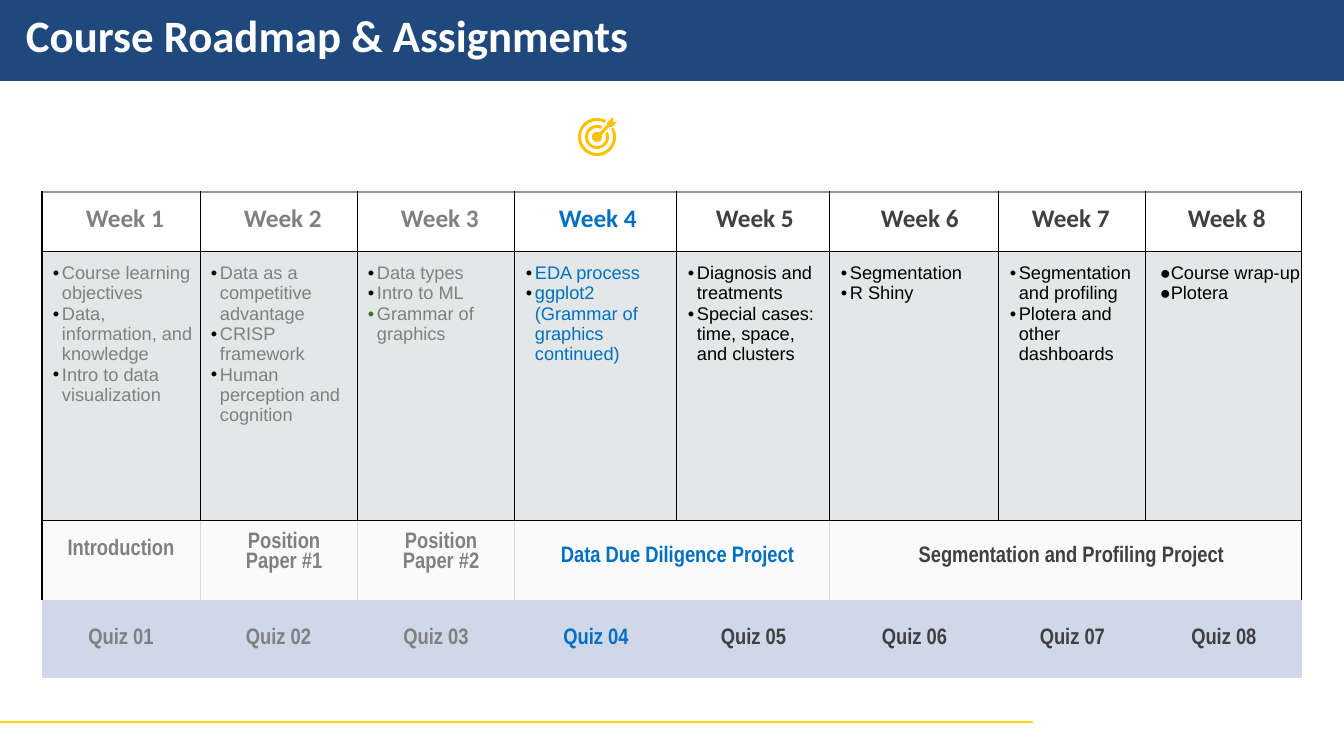
import math

import lxml.etree
import pptx
import pptx.dml.color
import pptx.enum.shapes
import pptx.enum.text
import pptx.oxml.ns
import pptx.util

TITLE = "Course Roadmap & Assignments"
GRAY, BLUE, DARK, BLACK = "808080", "0070C0", "404040", "000000"
PALE, GOLD = "D9D9D9", "FFC000"
STATUS = [GRAY] * 3 + [BLUE] + [DARK] * 4
TOPICS = [
    ["Course learning objectives", "Data, information, and knowledge", "Intro to data visualization"],
    ["Data as a competitive advantage", "CRISP framework", "Human perception and cognition"],
    ["Data types", "Intro to ML", "Grammar of graphics"],
    ["EDA process", "ggplot2 (Grammar of graphics continued)"],
    ["Diagnosis and treatments", "Special cases: time, space, and clusters"],
    ["Segmentation", "R Shiny"],
    ["Segmentation and profiling", "Plotera and other dashboards"],
    ["Course wrap-up", "Plotera"],
]
ASSIGNMENTS = [
    dict(text="Introduction", first=0, last=0, centre=True, middle=True, bottom=22),
    dict(text="Position Paper #1", first=1, last=1, left=46, indent=2, top=12, spacing=0.95),
    dict(text="Position Paper #2", first=2, last=2, left=46, indent=2, top=12, spacing=0.95),
    dict(text="Data Due Diligence Project", first=3, last=4, left=46, top=25),
    dict(text="Segmentation and Profiling Project", first=5, last=7, left=11, centre=True, top=25),
]
WEEK_LEFT = [44, 44, 44, 44, 39, 51, 33, 42]
COL_WIDTHS = [158, 157, 158, 162, 153, 169, 147, 156]
ROW_HEIGHTS = [59, 270, 79, 78]
ROW_FILLS = ["FFFFFF", "E4E7E7", "FAFAFA", "D0D7E8"]
TARGET = (597, 137)
RINGS = [(19, 16, -30, -62), (12, 9, -25, -65)]
ARROW = [(2, -4), (10, -12), (10, -14), (16, -20), (16, -15), (20, -15), (15, -10), (12, -10), (5, -2)]

EMU_PER_PX = 12192000 / 1344


def px(n):
    return pptx.util.Emu(round(n * EMU_PER_PX))


def rgb(value):
    return pptx.dml.color.RGBColor.from_string(value)


def paint(shape, color):
    shape.shadow.inherit = False
    shape.fill.solid()
    shape.fill.fore_color.rgb = rgb(color)
    shape.line.fill.background()


def add_xml(parent, tag, **attrs):
    return lxml.etree.SubElement(parent, pptx.oxml.ns.qn(tag), attrs)


def style_font(p, font, size, color, bold):
    for r in p.runs:
        r.font.name = font
        r.font.size = pptx.util.Pt(size)
        r.font.bold = bold
        r.font.color.rgb = rgb(color)


def indent_paragraph(p, left, indent=0):
    pPr = p._p.get_or_add_pPr()
    pPr.set("marL", str(px(left)))
    pPr.set("indent", str(px(indent)))


def write_cell(cell, text, font, size, color, bold=True, left=0, indent=0, top=0, bottom=0,
               centre=False, middle=False, spacing=1.0):
    cell.margin_left = cell.margin_right = 0
    cell.margin_top, cell.margin_bottom = px(top), px(bottom)
    anchors = pptx.enum.text.MSO_ANCHOR
    cell.vertical_anchor = anchors.MIDDLE if middle else anchors.TOP
    cell.text_frame.text = text
    for p in cell.text_frame.paragraphs:
        indent_paragraph(p, left, indent)
        p.line_spacing = spacing
        p.alignment = pptx.enum.text.PP_ALIGN.CENTER if centre else pptx.enum.text.PP_ALIGN.LEFT
        style_font(p, font, size, color, bold)


def add_bullet(p, char, color):
    pPr = p._p.get_or_add_pPr()
    add_xml(add_xml(pPr, "a:buClr"), "a:srgbClr", val=color)
    add_xml(pPr, "a:buFont", typeface="Arial")
    add_xml(pPr, "a:buChar", char=char)


def cell_borders(row, col):
    if row == 3:
        return dict(L=None, R=None, T=None, B=None)
    outer = (BLACK, 1)
    grid = (BLACK, 0.75)
    inner = (PALE, 0.75) if row == 2 else grid
    right_edge = ASSIGNMENTS[-1]["first"] if row == 2 else len(COL_WIDTHS) - 1
    return dict(
        L=outer if col == 0 else inner,
        R=outer if col >= right_edge else inner,
        T=("8F9A9D", 1.5) if row == 0 else grid,
        B=None if row == 2 else grid,
    )


def set_borders(cell, borders):
    tcPr = cell._tc.get_or_add_tcPr()
    for side, border in borders.items():
        if border is None:
            add_xml(add_xml(tcPr, "a:ln" + side, w="0"), "a:noFill")
            continue
        color, width = border
        ln = add_xml(tcPr, "a:ln" + side, w=str(pptx.util.Pt(width)))
        add_xml(add_xml(ln, "a:solidFill"), "a:srgbClr", val=color)


def arc(radius, start, end):
    steps = 40
    angles = [math.radians(start + (end - start) * i / steps) for i in range(steps + 1)]
    return [(radius * math.cos(a), radius * math.sin(a)) for a in angles]


def add_target(s):
    contours = [arc(outer, start, end + 360) + arc(inner, end + 360, start)
                for outer, inner, start, end in RINGS]
    contours.append(arc(5, -25, 295) + ARROW)
    contours = [[((TARGET[0] + x) * 10, (TARGET[1] + y) * 10) for x, y in c] for c in contours]
    builder = s.shapes.build_freeform(*contours[0][0], scale=EMU_PER_PX / 10)
    builder.add_line_segments(contours[0][1:], close=True)
    for contour in contours[1:]:
        builder.move_to(*contour[0])
        builder.add_line_segments(contour[1:], close=True)
    paint(builder.convert_to_shape(), GOLD)


def add_roadmap(s):
    table = s.shapes.add_table(len(ROW_HEIGHTS), len(COL_WIDTHS), px(42), px(192),
                               px(sum(COL_WIDTHS)), px(sum(ROW_HEIGHTS))).table
    table.first_row = table.horz_banding = False
    for col, width in enumerate(COL_WIDTHS):
        table.columns[col].width = px(width)
    for row, height in enumerate(ROW_HEIGHTS):
        table.rows[row].height = px(height)
        for col in range(len(COL_WIDTHS)):
            cell = table.cell(row, col)
            set_borders(cell, cell_borders(row, col))
            cell.fill.solid()
            cell.fill.fore_color.rgb = rgb(ROW_FILLS[row])

    for col, color in enumerate(STATUS):
        last = col == len(STATUS) - 1
        write_cell(table.cell(0, col), f"Week {col + 1}", "Calibri", 18, color,
                   left=WEEK_LEFT[col], top=12)
        topics = table.cell(1, col)
        write_cell(topics, "\n".join(TOPICS[col]), "Arial", 13, BLACK if color == DARK else color,
                   bold=False, left=20, indent=-6 if last else -9, top=12)
        for p in topics.text_frame.paragraphs:
            green = col == 2 and p.text == TOPICS[2][-1]
            add_bullet(p, "●" if last else "•", "38761D" if green else BLACK)
        write_cell(table.cell(3, col), f"Quiz {col + 1:02d}", "Arial Narrow", 16, color,
                   centre=True, middle=True)

    for assignment in ASSIGNMENTS:
        options = dict(assignment)
        first, last = options.pop("first"), options.pop("last")
        cell = table.cell(2, first)
        if last > first:
            cell.merge(table.cell(2, last))
        write_cell(cell, font="Arial Narrow", size=16, color=STATUS[first], **options)


def add_title(s):
    banner = s.shapes.add_shape(pptx.enum.shapes.MSO_SHAPE.RECTANGLE, 0, 0, px(1344), px(81))
    paint(banner, "1F497D")
    title = s.shapes.title
    s.shapes._spTree.append(title._element)
    title.left, title.top, title.width, title.height = px(25), px(7), px(1318), px(55)
    tf = title.text_frame
    tf.text = TITLE
    tf.word_wrap = True
    tf.auto_size = pptx.enum.text.MSO_AUTO_SIZE.NONE
    tf.vertical_anchor = pptx.enum.text.MSO_ANCHOR.TOP
    tf.margin_left = tf.margin_right = tf.margin_bottom = 0
    tf.margin_top = px(1)
    p = tf.paragraphs[0]
    indent_paragraph(p, 1)
    p.alignment = pptx.enum.text.PP_ALIGN.LEFT
    style_font(p, "Calibri", 32, "FFFFFF", True)


def main():
    prs = pptx.Presentation()
    prs.slide_width, prs.slide_height = px(1344), px(756)
    s = prs.slides.add_slide(prs.slide_layouts[5])
    rule = s.shapes.add_connector(pptx.enum.shapes.MSO_CONNECTOR.STRAIGHT, 0, px(722), px(1033), px(722))
    rule.line.color.rgb = rgb("FFD807")
    rule.line.width = pptx.util.Pt(1.5)
    add_xml(rule._element.spPr, "a:effectLst")
    add_roadmap(s)
    add_title(s)
    add_target(s)
    prs.save("out.pptx")


if __name__ == "__main__":
    main()
